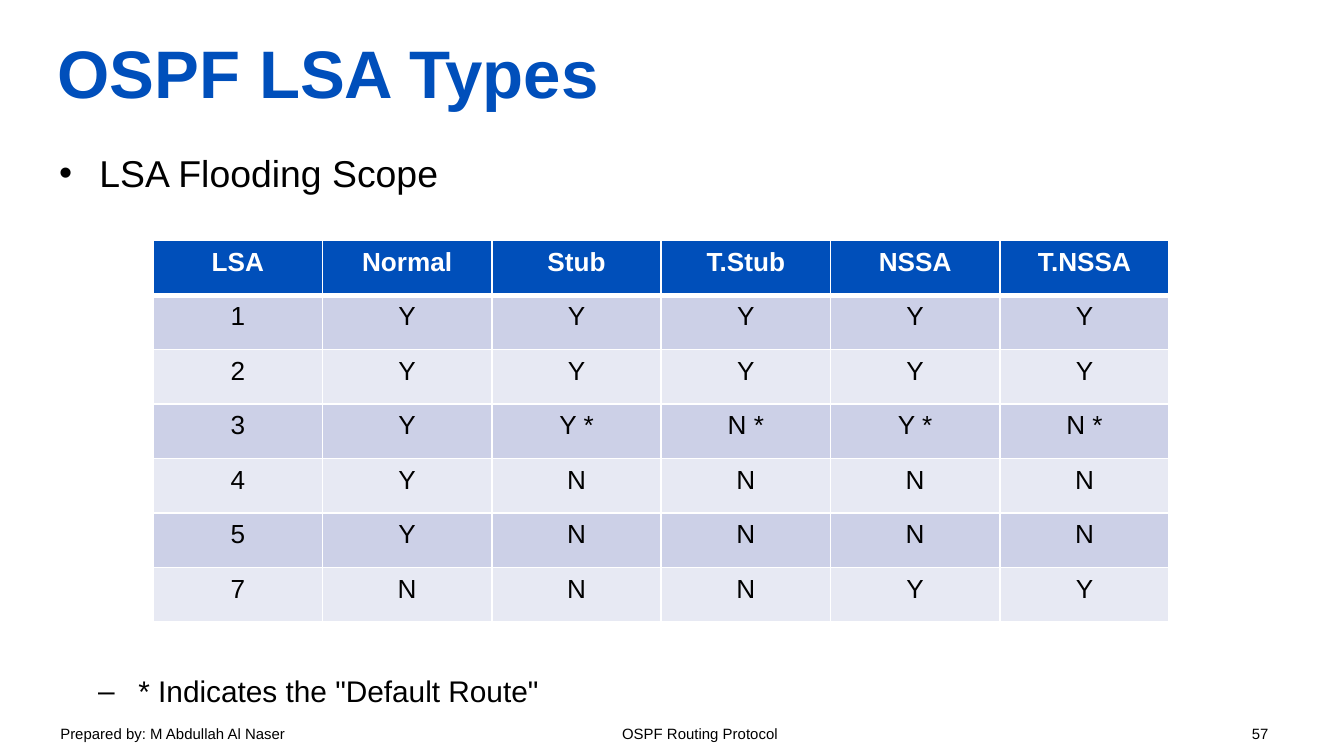
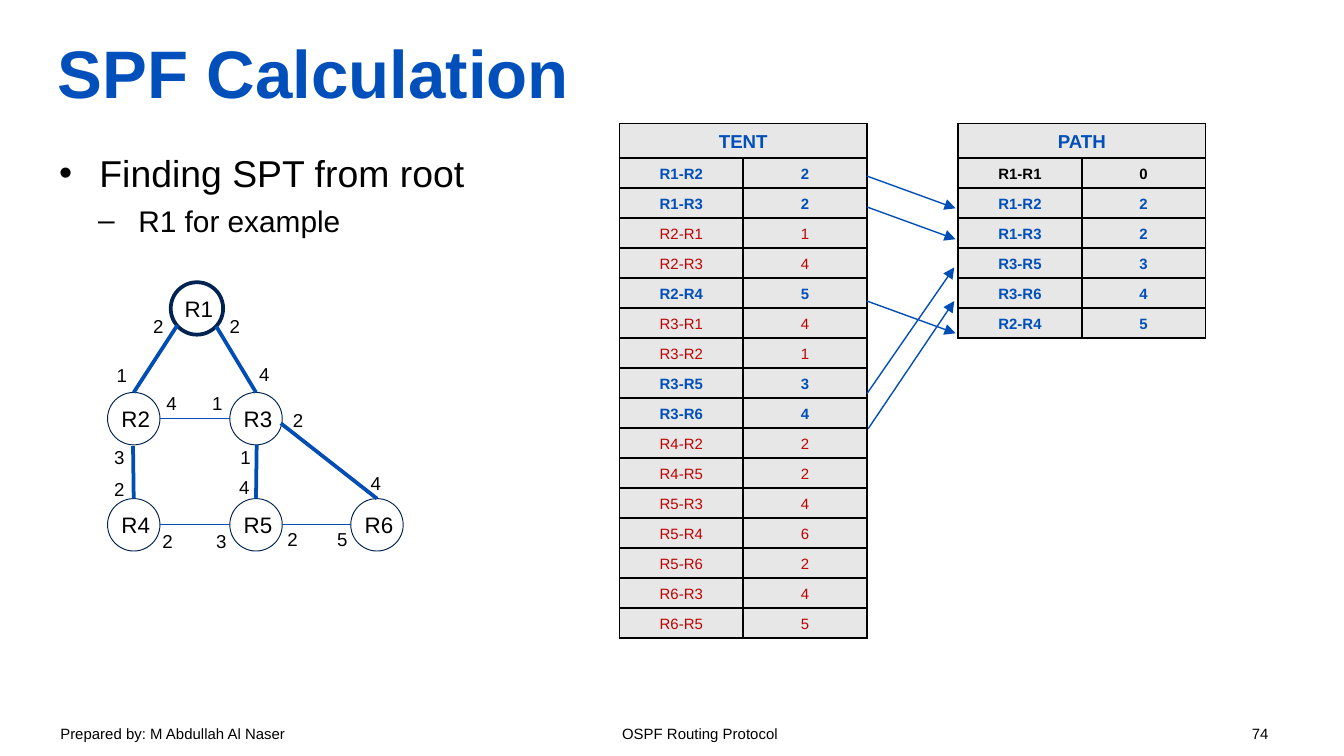
"""Build two slides on OSPF: LSA flooding scope and SPF calculation."""
from dataclasses import dataclass
from lxml.etree import SubElement
from pptx import Presentation
from pptx.dml.color import RGBColor
from pptx.enum.shapes import MSO_CONNECTOR, MSO_SHAPE
from pptx.enum.text import MSO_ANCHOR, PP_ALIGN
from pptx.oxml.ns import qn
from pptx.util import Inches, Pt


@dataclass(frozen=True)
class Theme:
    """Colours, font and type sizes of the deck."""
    font: str = "Arial"
    title: str = "004FBB"
    head: str = "004FBA"
    line: str = "004DB6"
    ring: str = "002352"
    ink: str = "000000"
    paper: str = "FFFFFF"
    drop: str = "C00000"
    ash: str = "E7E7E7"
    bands: tuple = ("E7E9F3", "CCD0E7")
    big: int = 36
    body: int = 20
    sub: int = 16
    grid: int = 14
    node: int = 12
    cost: int = 10
    small: int = 8


T = Theme()

SCOPE = (
    ("LSA", "Normal", "Stub", "T.Stub", "NSSA", "T.NSSA"),
    ("1", "Y", "Y", "Y", "Y", "Y"),
    ("2", "Y", "Y", "Y", "Y", "Y"),
    ("3", "Y", "Y *", "N *", "Y *", "N *"),
    ("4", "Y", "N", "N", "N", "N"),
    ("5", "Y", "N", "N", "N", "N"),
    ("7", "N", "N", "N", "Y", "Y"),
)
TENT = (
    ("R1-R2", 2), ("R1-R3", 2), ("R2-R1", 1), ("R2-R3", 4),
    ("R2-R4", 5), ("R3-R1", 4), ("R3-R2", 1), ("R3-R5", 3),
    ("R3-R6", 4), ("R4-R2", 2), ("R4-R5", 2), ("R5-R3", 4),
    ("R5-R4", 6), ("R5-R6", 2), ("R6-R3", 4), ("R6-R5", 5),
)
PATH = (
    ("R1-R1", 0), ("R1-R2", 2), ("R1-R3", 2),
    ("R3-R5", 3), ("R3-R6", 4), ("R2-R4", 5),
)
SIZE = 0.39
NODES = {
    "R1": (1.27, 2.1), "R2": (0.8, 2.92), "R3": (1.71, 2.92),
    "R4": (0.8, 3.71), "R5": (1.71, 3.71), "R6": (2.61, 3.71),
}
TREE = (
    (1.32, 2.42, "R2"), (1.61, 2.43, "R3"), (0.99, 3.32, "R4"),
    (1.91, 3.31, "R5"), (2.09, 3.15, "R6"),
)
FLAT = (("R2", "R3"), ("R4", "R5"), ("R5", "R6"))
COSTS = (
    (1.04, 2.29, 2), (1.61, 2.29, 2), (0.77, 2.66, 1), (1.83, 2.65, 4),
    (1.14, 2.87, 4), (1.48, 2.87, 1), (0.75, 3.27, 3), (0.75, 3.51, 2),
    (1.69, 3.27, 1), (1.68, 3.49, 4), (1.11, 3.89, 2), (1.51, 3.89, 3),
    (2.08, 2.99, 2), (2.04, 3.88, 2), (2.41, 3.88, 5), (2.66, 3.46, 4),
)
MOVES = (
    (6.45, 1.31, 7.11, 1.55), (6.45, 1.54, 7.11, 1.78),
    (6.45, 2.93, 7.1, 1.99), (6.46, 3.19, 7.1, 2.24),
    (6.45, 2.24, 7.11, 2.48),
)


def rgb(code):
    """Turn a hex code into a colour."""
    return RGBColor.from_string(code)


def style(para, size, color=T.ink, bold=False):
    """Format every run of a paragraph."""
    for run in para.runs:
        run.font.name = T.font
        run.font.size = Pt(size)
        run.font.bold = bold
        run.font.color.rgb = rgb(color)


def flush(frame):
    """Remove the insets of a text frame."""
    frame.margin_left = frame.margin_right = 0
    frame.margin_top = frame.margin_bottom = 0


def label(slide, place, text, size, color=T.ink, bold=False, wrap=True):
    """Add a one-paragraph text box and return its frame."""
    box = slide.shapes.add_textbox(*map(Inches, place))
    frame = box.text_frame
    frame.word_wrap = wrap
    frame.text = text
    style(frame.paragraphs[0], size, color, bold)
    return frame


def bullet(para, mark, left):
    """Give a paragraph a hanging bullet."""
    props = para._p.get_or_add_pPr()
    props.set("marL", str(Inches(left)))
    props.set("indent", str(Inches(-0.3)))
    SubElement(props, qn("a:buFont")).set("typeface", T.font)
    SubElement(props, qn("a:buChar")).set("char", mark)


def footer(slide, page):
    """Add the footer line with its two tab stops."""
    text = f"Prepared by: M Abdullah Al Naser\tOSPF Routing Protocol\t{page}"
    frame = label(slide, (0.35, 5.34, 9.32, 0.25), text, T.small)
    props = frame.paragraphs[0]._p.get_or_add_pPr()
    stops = SubElement(props, qn("a:tabLst"))
    for pos, side in ((4.18, "l"), (8.99, "r")):
        stop = SubElement(stops, qn("a:tab"))
        stop.set("pos", str(Inches(pos)))
        stop.set("algn", side)


def page(deck, title, point, note, gap, number):
    """Add a slide with its footer, title and two bullet levels."""
    slide = deck.slides.add_slide(deck.slide_layouts[6])
    footer(slide, number)
    head = label(slide, (0.43, 0.06, 9.13, 0.94), title, T.big, T.title, True)
    head.vertical_anchor = MSO_ANCHOR.MIDDLE
    flush(head)
    body = label(slide, (0.44, 1.12, 9.13, 4.13), point, T.body)
    flush(body)
    bullet(body.paragraphs[0], "•", 0.3)
    para = body.add_paragraph()
    para.text = note
    para.level = 1
    para.space_before = Pt(gap)
    style(para, T.sub)
    bullet(para, "–", 0.59)
    return slide


def border(cell, color, top=1, bottom=1):
    """Draw the four borders of a cell."""
    props = cell._tc.get_or_add_tcPr()
    sides = (("L", 1), ("R", 1), ("T", top), ("B", bottom))
    for spot, (side, width) in enumerate(sides):
        line = SubElement(props, qn(f"a:ln{side}"))
        line.set("w", str(Pt(width)))
        fill = SubElement(line, qn("a:solidFill"))
        SubElement(fill, qn("a:srgbClr")).set("val", color)
        props.insert(spot, line)


def fill(cell, text, size, color, bold, back):
    """Write centred text in a cell and paint it."""
    cell.text = str(text)
    para = cell.text_frame.paragraphs[0]
    para.alignment = PP_ALIGN.CENTER
    style(para, size, color, bold)
    cell.fill.solid()
    cell.fill.fore_color.rgb = rgb(back)


def grid(slide, left, top, rows, cols, wide, high):
    """Add a plain table of equal cells."""
    place = map(Inches, (left, top, cols * wide, rows * high))
    table = slide.shapes.add_table(rows, cols, *place).table
    table.first_row = table.horz_banding = False
    for col in table.columns:
        col.width = Inches(wide)
    for row in table.rows:
        row.height = Inches(high)
    return table


def scope(slide):
    """Add the flooding scope table."""
    count = len(SCOPE)
    table = grid(slide, 1.14, 1.79, count, len(SCOPE[0]), 1.26, 2.84 / count)
    for r, row in enumerate(SCOPE):
        first = r == 0
        color = T.paper if first else T.ink
        back = T.head if first else T.bands[r % 2]
        for c, text in enumerate(row):
            cell = table.cell(r, c)
            fill(cell, text, T.grid, color, first, back)
            border(cell, T.paper, 3 if r == 1 else 1, 3 if first else 1)


def ledger(slide, left, name, rows, tint):
    """Add a table of links and costs under a merged heading."""
    table = grid(slide, left, 0.92, len(rows) + 1, 2, 0.92, 0.21)
    table.cell(0, 0).merge(table.cell(0, 1))
    fill(table.cell(0, 0), name, T.cost, T.head, True, T.ash)
    for r, row in enumerate(rows, 1):
        color = tint(row)
        for c, text in enumerate(row):
            fill(table.cell(r, c), text, T.small, color, color != T.drop, T.ash)
    for cell in table.iter_cells():
        cell.vertical_anchor = MSO_ANCHOR.MIDDLE
        cell.margin_bottom = Inches(0.04)
        border(cell, T.ink)


def node(slide, name):
    """Add a router circle."""
    place = map(Inches, (*NODES[name], SIZE, SIZE))
    ring = slide.shapes.add_shape(MSO_SHAPE.FLOWCHART_CONNECTOR, *place)
    ring.shadow.inherit = False
    ring.fill.background()
    ring.line.color.rgb = rgb(T.ring)
    ring.line.width = Pt(2 if name == "R1" else 0.5)
    frame = ring.text_frame
    flush(frame)
    frame.margin_left = Inches(0.03)
    frame.word_wrap = False
    frame.vertical_anchor = MSO_ANCHOR.MIDDLE
    frame.text = name
    frame.paragraphs[0].alignment = PP_ALIGN.CENTER
    style(frame.paragraphs[0], T.node)
    return ring


def link(slide, ends, width=0.75, arrow=False):
    """Add a straight line, with an arrowhead on request."""
    wire = slide.shapes.add_connector(MSO_CONNECTOR.STRAIGHT, *map(Inches, ends))
    wire.line.color.rgb = rgb(T.line)
    wire.line.width = Pt(width)
    if arrow:
        SubElement(wire.line._get_or_add_ln(), qn("a:tailEnd")).set("type", "triangle")
    SubElement(wire._element.spPr, qn("a:effectLst"))
    return wire


def graph(slide):
    """Draw the router network with its link costs."""
    rings = {name: node(slide, name) for name in NODES}
    for x, y, name in TREE:
        left, top = NODES[name]
        wire = link(slide, (x, y, left + SIZE / 2, top), 2)
        wire.end_connect(rings[name], 0)
    for near, far in FLAT:
        mid = NODES[far][1] + SIZE / 2
        link(slide, (NODES[far][0], mid, NODES[near][0] + SIZE, mid))
    for x, y, cost in COSTS:
        label(slide, (x, y, 0.28, 0.27), str(cost), T.cost, wrap=False)


def main():
    """Build and save the deck."""
    deck = Presentation()
    deck.slide_width = Inches(10)
    deck.slide_height = Inches(10 * 9 / 16)
    note = '* Indicates the "Default Route"'
    scope(page(deck, "OSPF LSA Types", "LSA Flooding Scope", note, 256, 57))
    slide = page(deck, "SPF Calculation", "Finding SPT from root",
                 "R1 for example", 4, 74)
    ledger(slide, 4.61, "TENT", TENT,
           lambda row: T.head if row in PATH else T.drop)
    ledger(slide, 7.13, "PATH", PATH,
           lambda row: T.head if row in TENT else T.ink)
    graph(slide)
    for ends in MOVES:
        link(slide, ends, arrow=True)
    deck.save("out.pptx")


if __name__ == "__main__":
    main()
